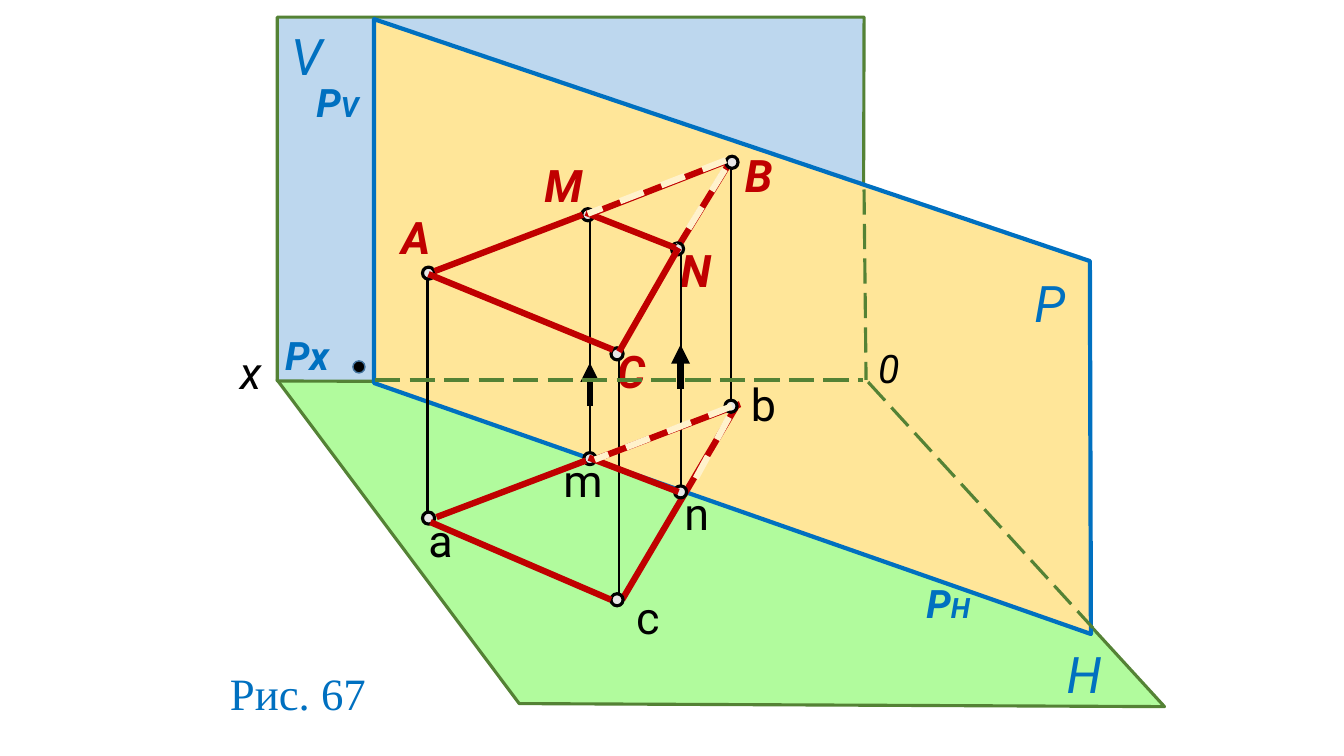
from lxml import etree
from pptx import Presentation
from pptx import util as u
from pptx.dml.color import RGBColor
from pptx.enum import dml, shapes, text
from pptx.oxml.ns import qn

# Grid: 100 columns and rows to the inch, all positions are (column, row)
WIDTH, HEIGHT = 1333, 750
DOT = 12
GREEN, BLUE, RED, BLACK, CREAM = "548235", "0070C0", "C00000", "000000", "FFF2CC"
DASH, LONG = dml.MSO_LINE.DASH, dml.MSO_LINE.LONG_DASH

CAPTION = ("Рис. 67", 218, 655, 157, 64)

# Planes: corners, fill, line colour, line width
PLANES = [
    ([(275, 377), (854, 372), (1155, 701), (515, 698)], "B1FB9D", GREEN, 2.25),
    ([(275, 17), (857, 17), (856, 380), (275, 378)], "BDD7EE", GREEN, 2.25),
    ([(371, 19), (1081, 259), (1082, 629), (371, 380)], "FFE699", BLUE, 3),
]

# Label styles: colour, bold, italic
AXIS, PLANE, TRACE = (BLACK, False, True), (BLUE, False, True), (BLUE, True, True)
SPACE, PROJECTED = (RED, True, True), (BLACK, False, False)

# Labels: style, left, top, width, runs of (wording, size)
LABELS = [
    (AXIS, 861, 337, 89, [("0", 28)]),
    (AXIS, 228, 337, 41, [("x", 32)]),
    (PLANE, 279, 20, 89, [("V", 36)]),
    (PLANE, 1048, 633, 89, [("H", 36)]),
    (PLANE, 1016, 265, 89, [("P", 36)]),
    (TRACE, 273, 324, 67, [("Px", 28)]),
    (TRACE, 909, 570, 89, [("P", 28), ("H", 20)]),
    (TRACE, 304, 73, 89, [("P", 28), ("V", 20)]),
    (PROJECTED, 415, 504, 60, [("a", 32)]),
    (PROJECTED, 621, 580, 61, [("c", 32)]),
    (PROJECTED, 735, 369, 83, [("b", 32)]),
    (PROJECTED, 669, 477, 60, [("n", 32)]),
    (PROJECTED, 549, 444, 60, [("m", 32)]),
    (SPACE, 729, 142, 48, [("B", 32)]),
    (SPACE, 388, 203, 48, [("A", 32)]),
    (SPACE, 602, 336, 48, [("C", 32)]),
    (SPACE, 665, 236, 48, [("N", 32)]),
    (SPACE, 530, 152, 48, [("M", 32)]),
]

# Lines: (from column, from row, to column, to row)
HIDDEN_AXES = [(372, 377, 856, 377), (861, 379, 1084, 623), (857, 188, 859, 377)]
PROJECTORS = [(424, 520, 424, 268), (725, 408, 725, 164), (675, 487, 675, 243),
              (614, 599, 614, 347), (585, 457, 585, 213)]
ARROWS = [(675, 386, 675, 342), (585, 403, 585, 360)]
EDGES_BEHIND = [(734, 401, 587, 457), (731, 402, 617, 595),
                (720, 160, 584, 213), (727, 156, 673, 244)]
EDGES_FRONT = [(578, 213, 431, 269), (581, 457, 433, 513), (673, 246, 614, 349),
               (581, 211, 670, 246), (425, 272, 608, 347), (584, 454, 673, 488),
               (427, 518, 606, 595)]
EDGE_GAPS = [(720, 159, 583, 212), (719, 168, 673, 243),
             (726, 403, 590, 456), (723, 414, 686, 482)]

# Centres of the points a, n, b, c, N, B, A, C, M, m
POINTS = [(425, 514), (675, 488), (725, 403), (612, 595), (672, 247),
          (726, 161), (425, 271), (612, 351), (583, 213), (585, 455)]
TRACE_POINT = (356, 364)

prs = Presentation()


def grid(n):
    return u.Inches(n / 100)


def rgb(value):
    return RGBColor.from_string(value)


def paint(sp, fill, line, width):
    sp.shadow.inherit = False
    sp.fill.solid()
    sp.fill.fore_color.rgb = rgb(fill)
    sp.line.color.rgb = rgb(line)
    sp.line.width = u.Pt(width)


def add_run(p, wording, size, font, color, bold=False, italic=False):
    r = p.add_run()
    r.text = wording
    r.font.name, r.font.size = font, u.Pt(size)
    r.font.bold, r.font.italic = bold, italic
    r.font.color.rgb = rgb(color)


def add_plane(s, corners, fill, line, width):
    start, *rest = [(grid(x), grid(y)) for x, y in corners]
    outline = s.shapes.build_freeform(*start)
    outline.add_line_segments(rest, close=True)
    paint(outline.convert_to_shape(), fill, line, width)


def add_label(s, style, left, top, width, runs):
    height = runs[0][1] * 2
    sp = s.shapes.add_textbox(*map(grid, (left, top, width, height)))
    sp.text_frame.word_wrap = True
    for wording, size in runs:
        add_run(sp.text_frame.paragraphs[0], wording, size, "Roboto", *style)


def add_lines(s, lines, color, width, dash=None, arrow=False):
    for ends in lines:
        sp = s.shapes.add_connector(shapes.MSO_CONNECTOR.STRAIGHT, *map(grid, ends))
        sp.line.color.rgb = rgb(color)
        sp.line.width = u.Pt(width)
        if dash:
            sp.line.dash_style = dash
        if arrow:
            etree.SubElement(sp.line._get_or_add_ln(), qn("a:tailEnd"), type="triangle")
        etree.SubElement(sp._element.spPr, qn("a:effectLst"))


def add_dot(s, center, fill, line, width):
    x, y = center
    box = map(grid, (x - DOT / 2, y - DOT / 2, DOT, DOT))
    paint(s.shapes.add_shape(shapes.MSO_SHAPE.OVAL, *box), fill, line, width)


def main():
    prs.slide_width, prs.slide_height = grid(WIDTH), grid(HEIGHT)
    s = prs.slides.add_slide(prs.slide_layouts[5])

    # Caption
    wording, *box = CAPTION
    title = s.shapes.title
    title.left, title.top, title.width, title.height = map(grid, box)
    tf = title.text_frame
    tf.word_wrap = False
    tf.auto_size = text.MSO_AUTO_SIZE.NONE
    tf.vertical_anchor = text.MSO_ANCHOR.TOP
    tf.paragraphs[0].alignment = text.PP_ALIGN.LEFT
    add_run(tf.paragraphs[0], wording, 32, "Times New Roman", BLUE)

    # Planes and labels
    for plane in PLANES:
        add_plane(s, *plane)
    for label in LABELS:
        add_label(s, *label)

    # Projection lines and the triangle's far edges
    add_lines(s, PROJECTORS, BLACK, 1.5)
    add_lines(s, EDGES_BEHIND, RED, 4.5)
    add_lines(s, ARROWS, BLACK, 4.5, arrow=True)
    add_lines(s, HIDDEN_AXES, GREEN, 2.25, LONG)

    # Points
    add_dot(s, TRACE_POINT, BLACK, "43739E", 1)
    for center in POINTS:
        add_dot(s, center, "E7E6E6", BLACK, 2.25)

    # Near edges, then the light dashes over the hidden ones
    add_lines(s, EDGES_FRONT, RED, 4.5)
    add_lines(s, EDGE_GAPS, CREAM, 4.5, DASH)

    prs.save("out.pptx")


if __name__ == "__main__":
    main()
